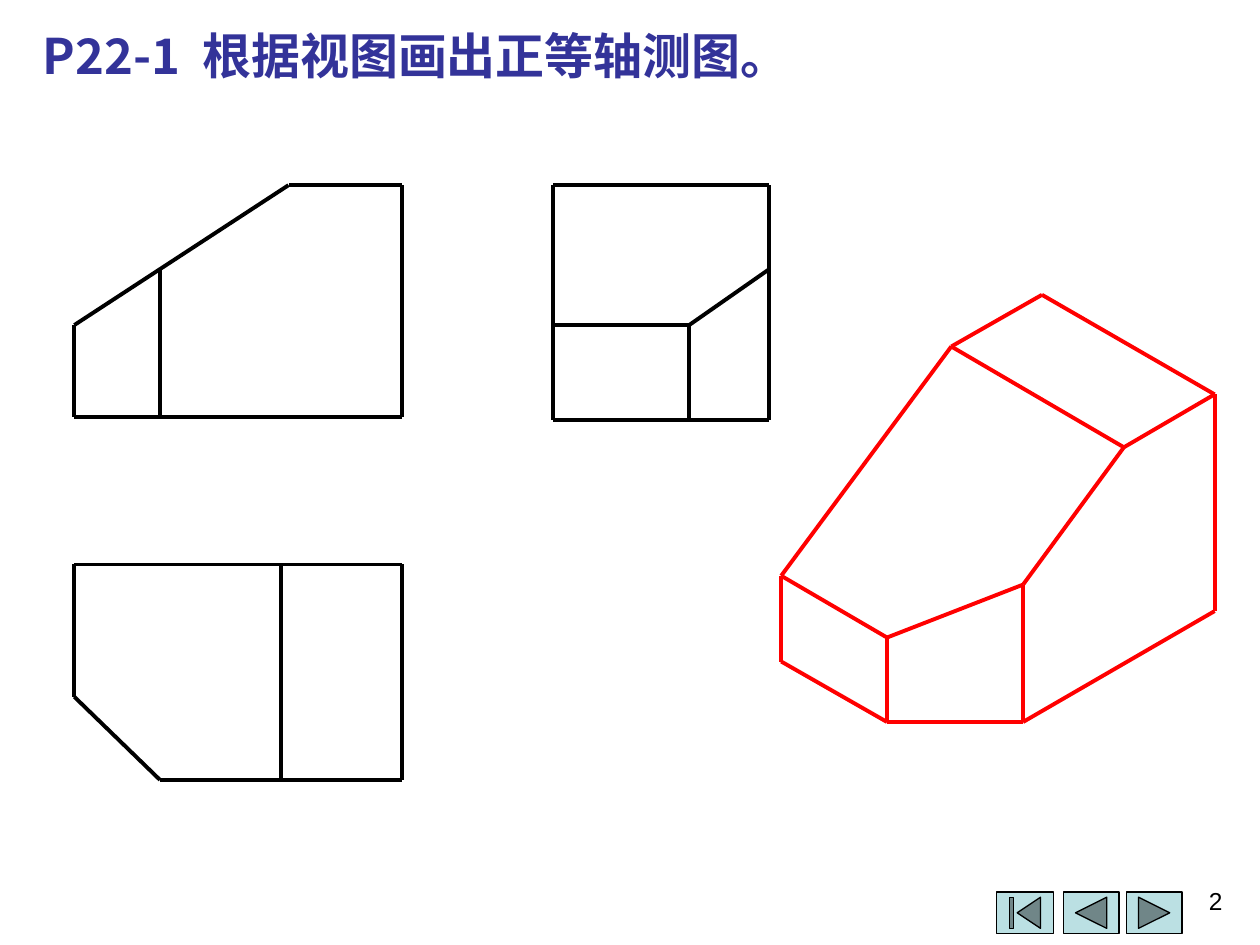
import itertools

import pptx
import pptx.dml.color
import pptx.enum.shapes
import pptx.enum.text
import pptx.oxml
import pptx.oxml.ns
import pptx.util

Inches = pptx.util.Inches
Pt = pptx.util.Pt
Shape = pptx.enum.shapes.MSO_SHAPE

TITLE_FONT = "Noto Sans CJK SC"
BLACK = "000000"
RED = "FF0000"

# Levels shared by the three orthographic views
LEFT, NOTCH, RIGHT = 0.59, 1.27, 3.19
TOP, CUT, STEP, BASE = 1.47, 2.14, 2.58, 3.31
SIDE_LEFT, SIDE_NOTCH, SIDE_RIGHT, SIDE_BASE = 4.39, 5.47, 6.1, 3.33
PLAN_BACK, PLAN_NOTCH, PLAN_FRONT, PLAN_RIDGE = 4.48, 5.53, 6.19, 2.23

FRONT_VIEW = [
    [(LEFT, BASE), (RIGHT, BASE), (RIGHT, TOP), (2.29, TOP), (LEFT, STEP), (LEFT, BASE)],
    [(NOTCH, CUT), (NOTCH, BASE)],
]
SIDE_VIEW = [
    [(SIDE_LEFT, TOP), (SIDE_LEFT, SIDE_BASE), (SIDE_RIGHT, SIDE_BASE),
     (SIDE_RIGHT, TOP), (SIDE_LEFT, TOP)],
    [(SIDE_LEFT, STEP), (SIDE_NOTCH, STEP), (SIDE_RIGHT, CUT)],
    [(SIDE_NOTCH, STEP), (SIDE_NOTCH, SIDE_BASE)],
]
PLAN_VIEW = [
    [(LEFT, PLAN_BACK), (LEFT, PLAN_NOTCH), (NOTCH, PLAN_FRONT),
     (RIGHT, PLAN_FRONT), (RIGHT, PLAN_BACK), (LEFT, PLAN_BACK)],
    [(PLAN_RIDGE, PLAN_BACK), (PLAN_RIDGE, PLAN_FRONT)],
]
ISOMETRIC_VIEW = [
    [(6.2, 4.57), (6.2, 5.25), (7.04, 5.73), (8.12, 5.73), (9.64, 4.85),
     (9.64, 3.13), (8.27, 2.34), (7.55, 2.75), (6.2, 4.57)],
    [(6.2, 4.57), (7.04, 5.06), (8.12, 4.64), (8.92, 3.55), (9.64, 3.13)],
    [(7.04, 5.06), (7.04, 5.73)],
    [(8.12, 4.64), (8.12, 5.73)],
    [(7.55, 2.75), (8.92, 3.55)],
]
BUTTONS = [
    (Shape.ACTION_BUTTON_FORWARD_OR_NEXT, 8.94, 0.44),
    (Shape.ACTION_BUTTON_BACK_OR_PREVIOUS, 8.44, 0.44),
    (Shape.ACTION_BUTTON_BEGINNING, 7.91, 0.45),
]


def color(value):
    return pptx.dml.color.RGBColor.from_string(value)


def format_font(font, name, size, value, bold=False):
    font.name = name
    font.size = Pt(size)
    font.bold = bold
    font.color.rgb = color(value)


def add_title(slide):
    title = slide.shapes.title
    title.left, title.top = Inches(0.24), Inches(0.15)
    title.width, title.height = Inches(9.33), Inches(0.57)
    frame = title.text_frame
    frame.word_wrap = True
    frame.auto_size = pptx.enum.text.MSO_AUTO_SIZE.NONE
    frame.vertical_anchor = pptx.enum.text.MSO_ANCHOR.TOP
    paragraph = frame.paragraphs[0]
    paragraph.alignment = pptx.enum.text.PP_ALIGN.LEFT
    for text in ("P22-1", " ", "根据视图画出正等轴测图。"):
        run = paragraph.add_run()
        run.text = text
        if text == " ":
            run.font.bold = True
            run._r.get_or_add_rPr().set("spc", "630")
    format_font(paragraph.font, TITLE_FONT, 28, "333399", bold=True)
    properties = paragraph._p.pPr.find(pptx.oxml.ns.qn("a:defRPr"))
    properties.append(pptx.oxml.parse_xml(
        f'<a:ea {pptx.oxml.ns.nsdecls("a")} typeface="{TITLE_FONT}"/>'))


def add_button(slide, kind, left, width):
    button = slide.shapes.add_shape(
        kind, Inches(left), Inches(7.08), Inches(width), Inches(0.33))
    button.shadow.inherit = False
    button.fill.solid()
    button.fill.fore_color.rgb = color("BBE0E3")
    button.line.color.rgb = color(BLACK)
    button.line.width = Pt(0.75)


def add_view(slide, chains, line_color):
    """Draw each chain of points as joined lines, all in one group."""
    group = slide.shapes.add_group_shape()
    for chain in chains:
        for start, end in itertools.pairwise(chain):
            edge = group.shapes.add_connector(
                pptx.enum.shapes.MSO_CONNECTOR.STRAIGHT,
                *map(Inches, start + end))
            edge.line.color.rgb = color(line_color)
            edge.line.width = Pt(2.25)
            edge._element.spPr.append(pptx.oxml.parse_xml(
                f'<a:effectLst {pptx.oxml.ns.nsdecls("a")}/>'))


def add_page_number(slide):
    box = slide.shapes.add_textbox(
        Inches(7.47), Inches(6.98), Inches(2.33), Inches(0.52))
    box.text_frame.word_wrap = True
    paragraph = box.text_frame.paragraphs[0]
    paragraph.text = "2"
    paragraph.alignment = pptx.enum.text.PP_ALIGN.RIGHT
    format_font(paragraph.font, "Arial", 14, BLACK)


def main():
    presentation = pptx.Presentation()
    presentation.slide_width = Inches(10)
    presentation.slide_height = Inches(7.5)
    slide = presentation.slides.add_slide(presentation.slide_layouts[5])
    for button in BUTTONS:
        add_button(slide, *button)
    add_title(slide)
    for view in (PLAN_VIEW, FRONT_VIEW, SIDE_VIEW):
        add_view(slide, view, BLACK)
    add_view(slide, ISOMETRIC_VIEW, RED)
    add_page_number(slide)
    presentation.save("out.pptx")


if __name__ == "__main__":
    main()
